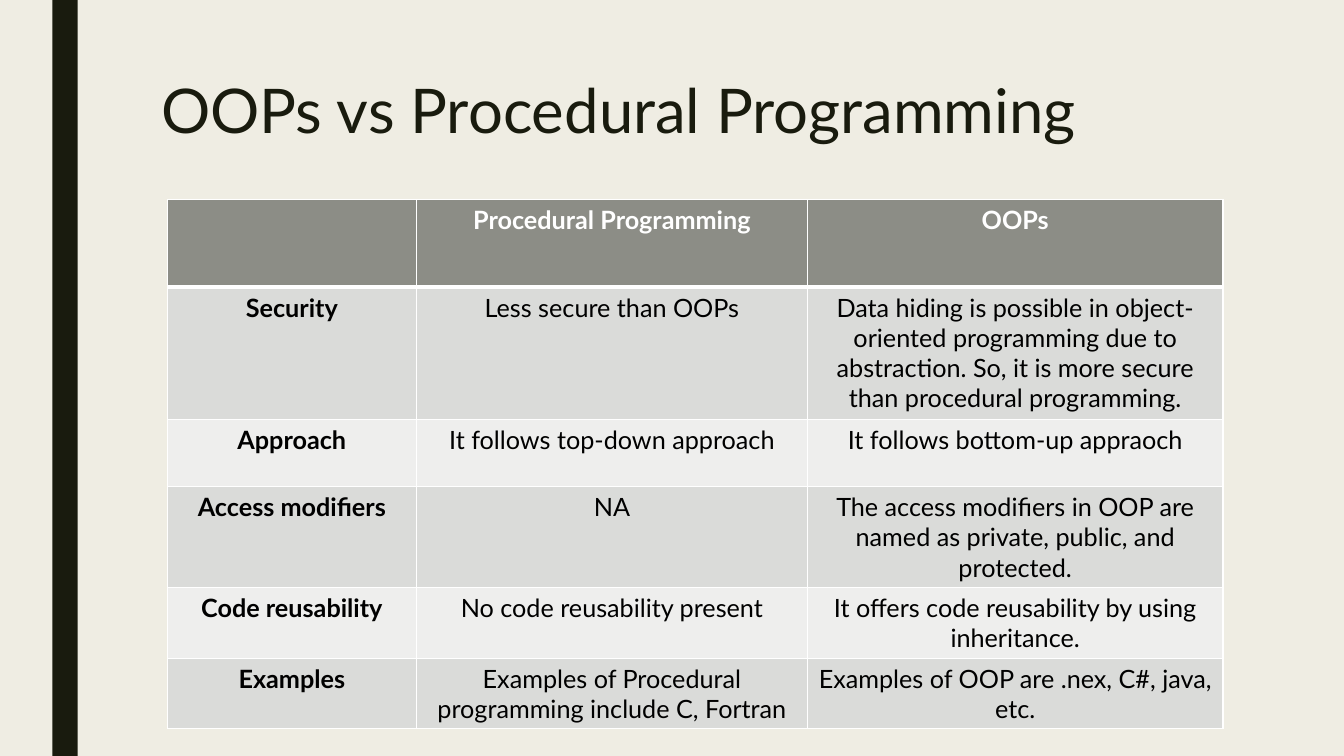
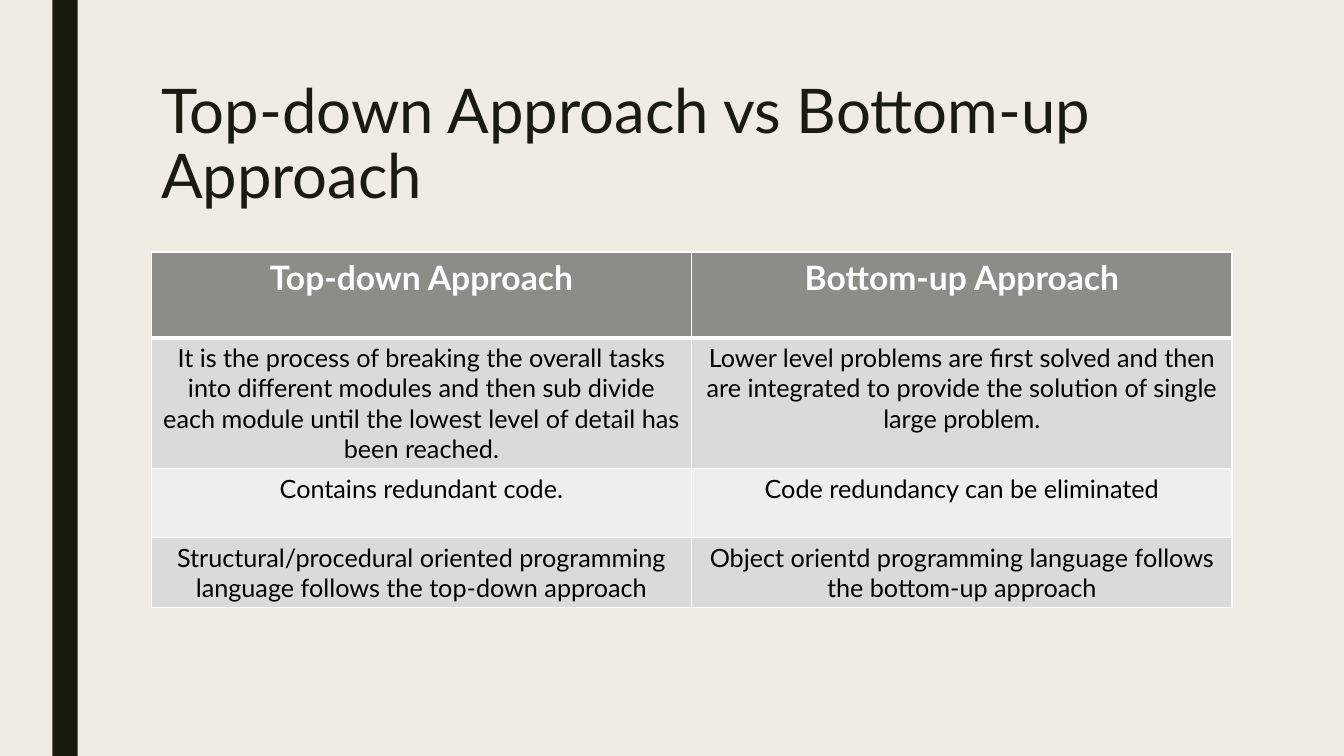
from lxml import etree
from pptx import Presentation
from pptx.dml.color import RGBColor
from pptx.enum.shapes import MSO_SHAPE
from pptx.enum.text import MSO_ANCHOR, PP_ALIGN
from pptx.oxml.ns import qn
from pptx.util import Inches, Pt

RECT = MSO_SHAPE.RECTANGLE
TOP = MSO_ANCHOR.TOP
LEFT, CENTER = PP_ALIGN.LEFT, PP_ALIGN.CENTER
FONT = "Lato"
HEX = {"page": "EFEDE3", "dark": "191B0E", "head": "8C8D86",
       "odd": "DADBD9", "even": "EEEEED", "white": "FFFFFF", "black": "000000"}

# Content
SLIDES = [
    {
        "title": "OOPs vs Procedural Programming",
        "at": (1.66, 1.98),
        "cols": [2.47, 3.88, 4.12],
        "heights": [0.87, 1.31, 0.67, 1.0, 0.7, 0.7],
        "head size": 18,
        "labels": True,
        "rows": [
            ("", "Procedural Programming", "OOPs"),
            ("Security", "Less secure than OOPs",
             "Data hiding is possible in object-oriented programming due to "
             "abstraction. So, it is more secure than procedural programming."),
            ("Approach", "It follows top-down approach",
             "It follows bottom-up appraoch"),
            ("Access modifiers", "NA",
             "The access modifiers in OOP are named as private, public, "
             "and protected."),
            ("Code reusability", "No code reusability present",
             "It offers code reusability by using inheritance."),
            ("Examples", "Examples of Procedural programming include C, Fortran",
             "Examples of OOP are .nex, C#, java, etc."),
        ],
    },
    {
        "title": "Top-down Approach vs Bottom-up Approach",
        "at": (1.5, 2.5),
        "cols": [5.36, 5.36],
        "heights": [0.85, 1.3, 0.68, 0.7],
        "head size": 24,
        "labels": False,
        "rows": [
            ("Top-down Approach", "Bottom-up Approach"),
            ("It is the process of breaking the overall tasks into different "
             "modules and then sub divide each module until the lowest level "
             "of detail has been reached.",
             "Lower level problems are first solved and then are integrated "
             "to provide the solution of single large problem."),
            ("Contains redundant code.", "Code redundancy can be eliminated"),
            ("Structural/procedural oriented programming language follows "
             "the top-down approach",
             "Object orientd programming\u00a0language follows the bottom-up "
             "approach"),
        ],
    },
]


def color(name):
    return RGBColor.from_string(HEX[name])


def paint(fill, name):
    fill.solid()
    fill.fore_color.rgb = color(name)


def write(frame, text, size=18, ink="black", bold=False, align=CENTER, gap=None):
    frame.word_wrap = True
    para = frame.paragraphs[0]
    para.alignment = align
    if gap:
        para.line_spacing = gap
    font = para.font
    if text:
        run = para.add_run()
        run.text = text
        font = run.font
    font.name, font.size, font.bold = FONT, Pt(size), bold
    font.color.rgb = color(ink)


def border(cell, top, bottom):
    props = cell._tc.get_or_add_tcPr()
    for side, width in (("L", 1), ("R", 1), ("T", top), ("B", bottom)):
        line = etree.SubElement(props, qn("a:ln" + side), w=str(Pt(width)))
        fill = etree.SubElement(line, qn("a:solidFill"))
        etree.SubElement(fill, qn("a:srgbClr"), val=HEX["white"])


def add_frame(slide, title):
    # Side band
    band = slide.shapes.add_shape(RECT, Inches(0.52), 0, Inches(0.25), Inches(7.5))
    band.shadow.inherit = False
    paint(band.fill, "dark")
    band.line.fill.background()
    # Title
    box = slide.shapes.add_textbox(Inches(1.5), Inches(0.75),
                                   Inches(10.5), Inches(1.62))
    box.text_frame.vertical_anchor = TOP
    write(box.text_frame, title, size=44, ink="dark", align=LEFT, gap=0.89)


def add_grid(slide, data):
    rows, cols, heights = data["rows"], data["cols"], data["heights"]
    left, top = data["at"]
    grid = slide.shapes.add_table(
        len(rows), len(cols), Inches(left), Inches(top),
        Inches(sum(cols)), Inches(sum(heights))).table
    for col, width in zip(grid.columns, cols):
        col.width = Inches(width)
    for row, height in zip(grid.rows, heights):
        row.height = Inches(height)
    for r, texts in enumerate(rows):
        head = r == 0
        tone = "head" if head else "odd" if r % 2 else "even"
        for c, text in enumerate(texts):
            cell = grid.cell(r, c)
            border(cell, 3 if r == 1 else 1, 3 if head else 1)
            paint(cell.fill, tone)
            write(cell.text_frame, text,
                  size=data["head size"] if head else 18,
                  ink="white" if head else "black",
                  bold=head or (data["labels"] and c == 0))


# Build
deck = Presentation()
deck.slide_width, deck.slide_height = Inches(13.33), Inches(7.5)
paint(deck.slide_master.background.fill, "page")
for data in SLIDES:
    slide = deck.slides.add_slide(deck.slide_layouts[6])
    add_frame(slide, data["title"])
    add_grid(slide, data)
deck.save("out.pptx")
